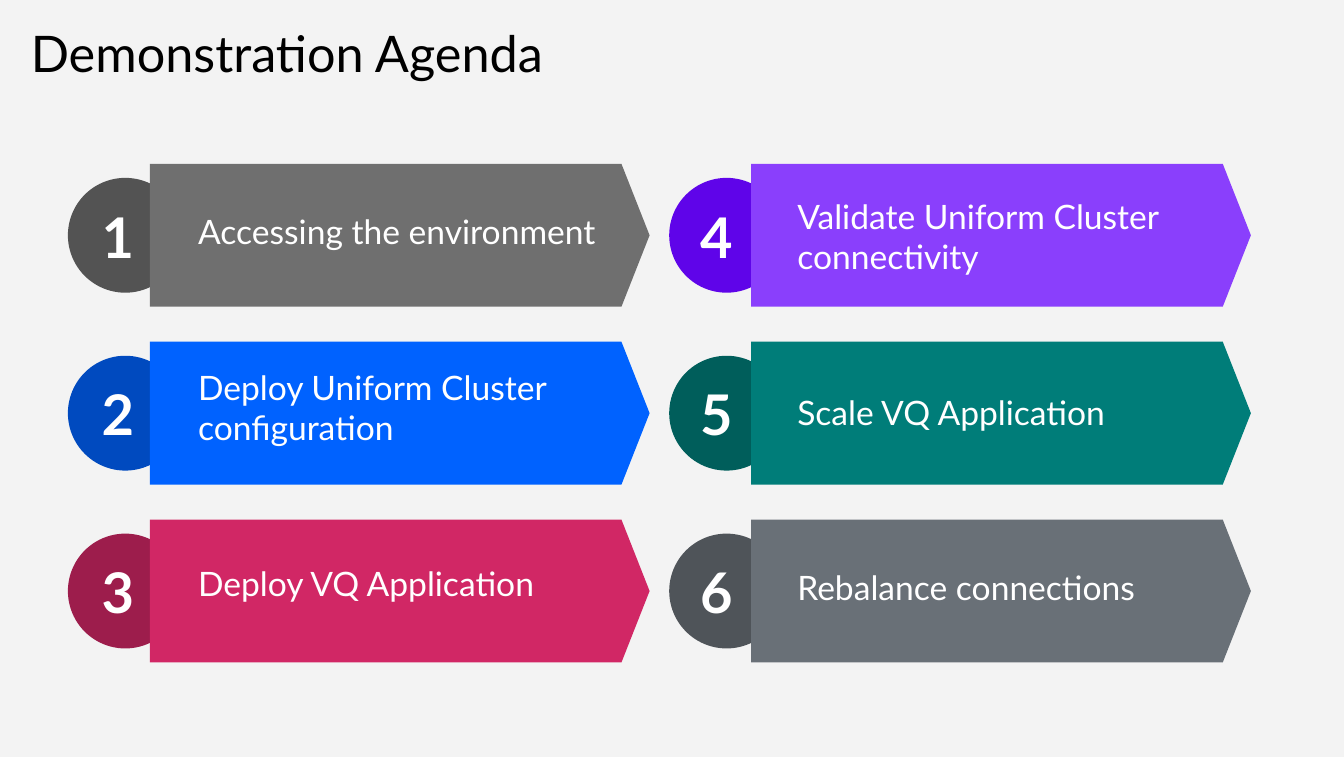
from dataclasses import dataclass

from pptx import Presentation
from pptx.dml.color import RGBColor
from pptx.enum.shapes import MSO_SHAPE
from pptx.enum.text import MSO_ANCHOR, PP_ALIGN
from pptx.util import Emu, Pt

EMU_PER_PX = 9525
FONT = "Lato"

BLACK = RGBColor(0x00, 0x00, 0x00)
WHITE = RGBColor(0xFF, 0xFF, 0xFF)
PALE_GRAY = RGBColor(0xF3, 0xF3, 0xF3)
GRAY, DARK_GRAY = RGBColor(0x6F, 0x6F, 0x6F), RGBColor(0x53, 0x53, 0x53)
BLUE, DARK_BLUE = RGBColor(0x00, 0x62, 0xFF), RGBColor(0x00, 0x4A, 0xBF)
PINK, DARK_PINK = RGBColor(0xD1, 0x27, 0x65), RGBColor(0x9D, 0x1D, 0x4C)
PURPLE, DARK_PURPLE = RGBColor(0x8A, 0x3F, 0xFC), RGBColor(0x5F, 0x04, 0xE9)
TEAL, DARK_TEAL = RGBColor(0x00, 0x7D, 0x79), RGBColor(0x00, 0x5E, 0x5B)
SLATE, DARK_SLATE = RGBColor(0x69, 0x70, 0x77), RGBColor(0x4F, 0x54, 0x59)


@dataclass(frozen=True)
class Area:
    left: int
    top: int
    width: int
    height: int

    def moved(self, right: int, down: int) -> "Area":
        return Area(self.left + right, self.top + down, self.width, self.height)

    def emu(self) -> list[Emu]:
        lengths = (self.left, self.top, self.width, self.height)
        return [Emu(length * EMU_PER_PX) for length in lengths]


@dataclass(frozen=True)
class Step:
    label: str
    color: RGBColor
    dark: RGBColor


STEPS = [
    Step("Accessing the environment", GRAY, DARK_GRAY),
    Step("Deploy Uniform Cluster configuration", BLUE, DARK_BLUE),
    Step("Deploy VQ Application", PINK, DARK_PINK),
    Step("Validate Uniform Cluster connectivity", PURPLE, DARK_PURPLE),
    Step("Scale VQ Application", TEAL, DARK_TEAL),
    Step("Rebalance connections", SLATE, DARK_SLATE),
]

# Grid: three rows, filled column by column
ROWS = 3
COLUMN_PITCH, ROW_PITCH = 859, 254
NUMBER_COLUMN_PITCH, LABEL_ROW_PITCH = 855, 251
CIRCLE = Area(97, 254, 164, 164)
ARROW = Area(214, 234, 714, 204)
NUMBER = Area(119, 280, 99, 113)
LABELS = [Area(283, 259, 573, 142), Area(1139, 266, 591, 142)]
ARROW_POINT = 0.197

TITLE_FORMAT = {"name": FONT, "size": Pt(54), "bold": False}
NUMBER_FORMAT = {"name": FONT, "size": Pt(60), "bold": True}
LABEL_FORMAT = {"name": FONT, "size": Pt(36), "bold": False}
FRAME_FORMAT = {"word_wrap": True, "margin_left": 0, "margin_right": 0,
                "margin_top": 0, "margin_bottom": 0}


def add_block(page, kind: MSO_SHAPE, area: Area, color: RGBColor):
    block = page.shapes.add_shape(kind, *area.emu())
    block.shadow.inherit = False
    block.fill.solid()
    block.fill.fore_color.rgb = color
    block.line.fill.background()
    return block


def add_text(page, area: Area, text: str, font_format: dict, color: RGBColor = WHITE,
             anchor=MSO_ANCHOR.MIDDLE, align=PP_ALIGN.LEFT):
    frame = page.shapes.add_textbox(*area.emu()).text_frame
    for name, value in FRAME_FORMAT.items():
        setattr(frame, name, value)
    frame.vertical_anchor = anchor
    para = frame.paragraphs[0]
    para.alignment = align
    span = para.add_run()
    span.text = text
    for name, value in font_format.items():
        setattr(span.font, name, value)
    span.font.color.rgb = color
    return para


def add_step(page, index: int, step: Step) -> None:
    column, row = divmod(index, ROWS)
    right, down = column * COLUMN_PITCH, row * ROW_PITCH
    add_block(page, MSO_SHAPE.OVAL, CIRCLE.moved(right, down), step.dark)
    arrow = add_block(page, MSO_SHAPE.PENTAGON, ARROW.moved(right, down), step.color)
    arrow.adjustments[0] = ARROW_POINT
    add_text(page, NUMBER.moved(column * NUMBER_COLUMN_PITCH, down), str(index + 1),
             NUMBER_FORMAT, align=PP_ALIGN.CENTER)
    add_text(page, LABELS[column].moved(0, row * LABEL_ROW_PITCH), step.label,
             LABEL_FORMAT)


def main() -> None:
    deck = Presentation()
    deck.slide_width = Emu(1920 * EMU_PER_PX)
    deck.slide_height = Emu(1081 * EMU_PER_PX)
    page = deck.slides.add_slide(deck.slide_layouts[6])
    page.background.fill.solid()
    page.background.fill.fore_color.rgb = PALE_GRAY

    # Title
    title = add_text(page, Area(44, 42, 870, 902), "Demonstration Agenda",
                     TITLE_FORMAT, BLACK, MSO_ANCHOR.TOP)
    title.line_spacing = 0.9

    # Agenda steps
    for index, step in enumerate(STEPS):
        add_step(page, index, step)

    deck.save("out.pptx")


if __name__ == "__main__":
    main()
